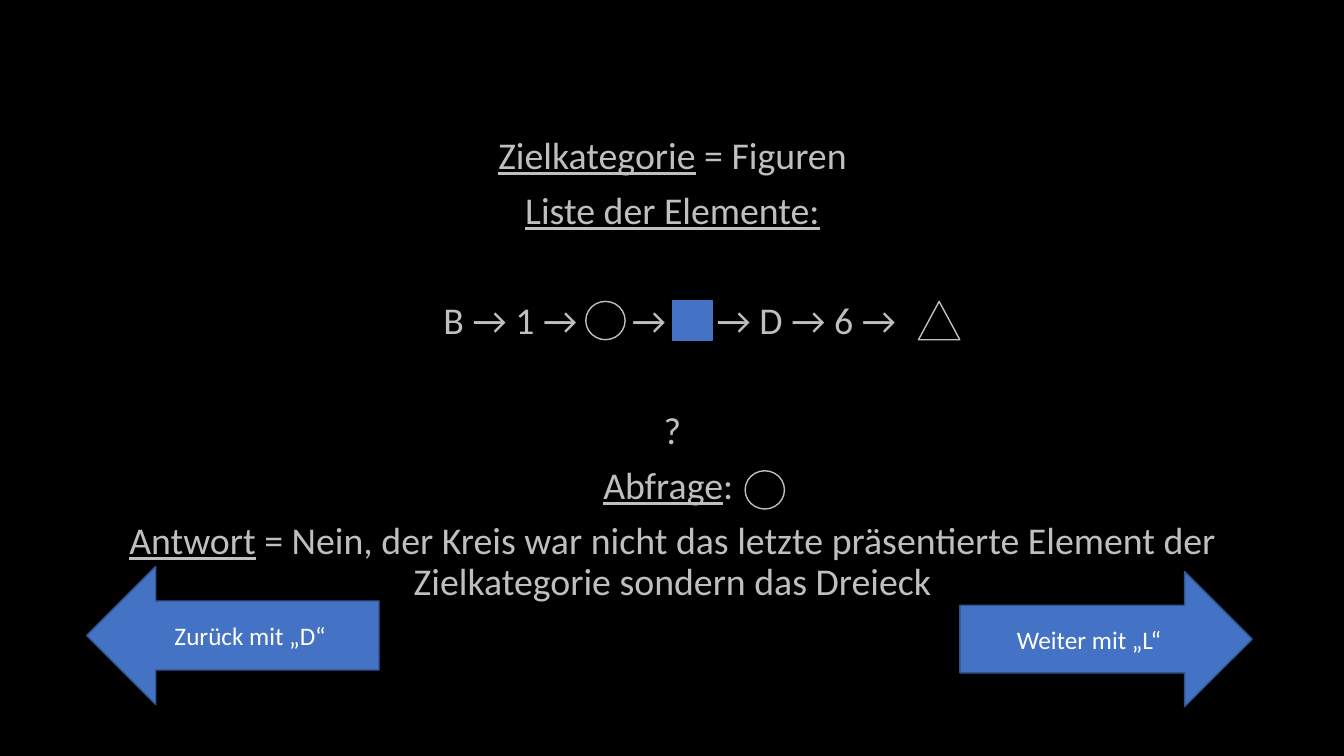
import pptx
import pptx.util
import pptx.dml.color
import pptx.enum.shapes
import pptx.enum.text
import pptx.oxml.ns
import lxml.etree

RGB = pptx.dml.color.RGBColor
BLACK = RGB(0x00, 0x00, 0x00)
GREY = RGB(0xBF, 0xBF, 0xBF)
BLUE = RGB(0x44, 0x72, 0xC4)
NAVY = RGB(0x32, 0x54, 0x91)
WHITE = RGB(0xFF, 0xFF, 0xFF)
SHAPE = pptx.enum.shapes.MSO_SHAPE
ALIGN = pptx.enum.text.PP_ALIGN
FONT = "Calibri"
WIDTH, HEIGHT = 13.33, 7.5
TIGHT, LOOSE = 10, 49.5

BODY_BOX = (0.92, 1.31, 11.5, 5.45)
SEQUENCE = "\tB → 1 →\t→\t→ D → 6 →"
SEQUENCE_TABS = (3.38, 5.25, 6.09)
BODY = [
    (TIGHT, [("Zielkategorie", True), (" = Figuren", False)]),
    (TIGHT, [("Liste der Elemente:", True)]),
    (LOOSE, [(SEQUENCE, False)]),
    (LOOSE, [("?", False)]),
    (TIGHT, [("Abfrage", True), (": ", False)]),
    (TIGHT, [("Antwort", True),
             (" = Nein, der Kreis war nicht das letzte präsentierte Element "
              "der Zielkategorie sondern das Dreieck", False)]),
]
SHAPES = [
    (SHAPE.LEFT_ARROW, (0.86, 5.62, 2.9, 1.37), BLUE, NAVY, "Zurück mit „D“"),
    (SHAPE.RIGHT_ARROW, (9.52, 5.67, 2.9, 1.34), BLUE, NAVY, "Weiter mit „L“"),
    (SHAPE.OVAL, (5.81, 2.99, 0.39, 0.38), None, GREY, ""),
    (SHAPE.RECTANGLE, (6.67, 2.98, 0.39, 0.4), BLUE, BLUE, ""),
    (SHAPE.OVAL, (7.39, 4.67, 0.39, 0.38), None, GREY, ""),
    (SHAPE.ISOSCELES_TRIANGLE, (9.11, 2.99, 0.41, 0.38), None, GREY, ""),
]


def inches(box):
    return [pptx.util.Inches(v) for v in box]


def add_run(p, text, size, color, underline=False):
    r = p.add_run()
    r.text = text
    r.font.name = FONT
    r.font.size = pptx.util.Pt(size)
    r.font.color.rgb = color
    r.font.underline = underline


def add_tabs(p, stops):
    qn = pptx.oxml.ns.qn
    tabs = lxml.etree.SubElement(p._p.get_or_add_pPr(), qn("a:tabLst"))
    for stop in stops:
        lxml.etree.SubElement(tabs, qn("a:tab"),
                              pos=str(pptx.util.Inches(stop)), algn="l")


def add_body(s):
    tf = s.shapes.add_textbox(*inches(BODY_BOX)).text_frame
    tf.word_wrap = True
    for i, (space, runs) in enumerate(BODY):
        p = tf.add_paragraph() if i else tf.paragraphs[0]
        p.alignment = ALIGN.CENTER
        p.line_spacing = 0.9
        p.space_before = pptx.util.Pt(space)
        for text, underline in runs:
            add_run(p, text, 27, GREY, underline)
            if text == SEQUENCE:
                p.alignment = ALIGN.LEFT
                add_tabs(p, SEQUENCE_TABS)


def add_figure(s, kind, box, fill, line, label):
    sp = s.shapes.add_shape(kind, *inches(box))
    sp.shadow.inherit = False
    if fill is None:
        sp.fill.background()
    else:
        sp.fill.solid()
        sp.fill.fore_color.rgb = fill
    sp.line.color.rgb = line
    sp.line.width = pptx.util.Pt(1)
    if label:
        tf = sp.text_frame
        tf.vertical_anchor = pptx.enum.text.MSO_ANCHOR.MIDDLE
        p = tf.paragraphs[0]
        p.alignment = ALIGN.CENTER
        add_run(p, label, 18, WHITE)


def main():
    prs = pptx.Presentation()
    prs.slide_width, prs.slide_height = inches((WIDTH, HEIGHT))
    s = prs.slides.add_slide(prs.slide_layouts[6])
    s.background.fill.solid()
    s.background.fill.fore_color.rgb = BLACK
    add_body(s)
    for figure in SHAPES:
        add_figure(s, *figure)
    prs.save("out.pptx")


if __name__ == "__main__":
    main()
